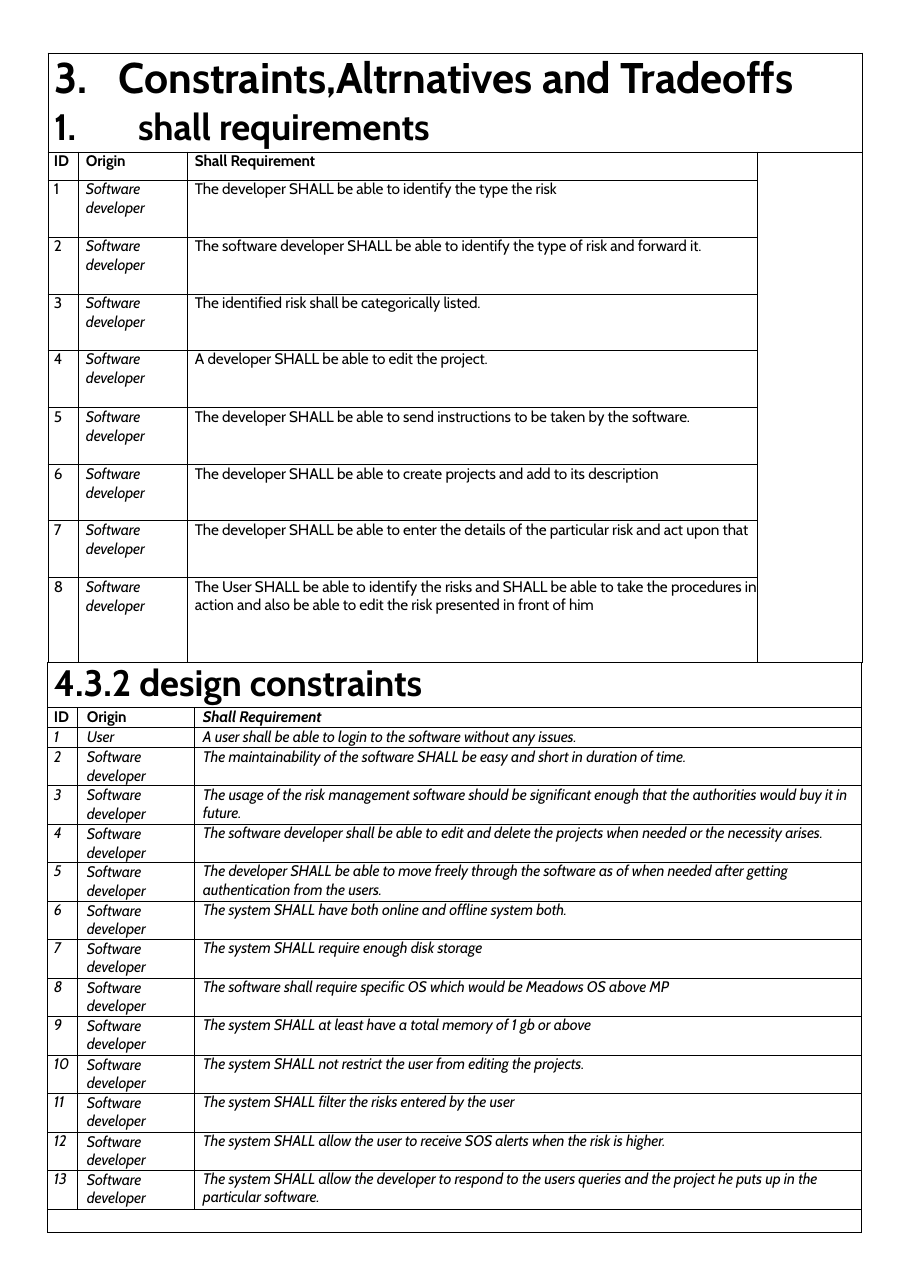
from lxml import etree
from pptx import Presentation
from pptx.dml.color import RGBColor
from pptx.oxml.ns import qn
from pptx.util import Pt

PX = 8298
FONT = "Cabin"
BLACK = RGBColor(0, 0, 0)
DEVELOPER = "Software developer"
COLUMN_WIDTHS = [30, 109, 8, 562, 105]
ROW_HEIGHTS = [99, 28, 57, 57, 56, 58, 57, 56, 57, 85, 45, 20, 20] + [38, 39] * 6 + [23]
TITLE_ROW, SHALL_ROW, DESIGN_TITLE_ROW, DESIGN_ROW = 0, 1, 10, 11
LAST_ROW = len(ROW_HEIGHTS) - 1
LAST_COLUMN = len(COLUMN_WIDTHS) - 1

SHALL_REQUIREMENTS = [
    "The developer SHALL be able to identify the type the risk",
    "The software developer SHALL be able to identify the type of risk and forward it.",
    "The identified risk shall be categorically listed.",
    "A developer SHALL be able to edit the project.",
    "The developer SHALL be able to send instructions to be taken by the software.",
    "The developer SHALL be able to create projects and add to its description",
    "The developer SHALL be able to enter the details of the particular risk and act upon that",
    "The User SHALL be able to identify the risks and SHALL be able to take the procedures "
    "in action and also be able to edit the risk presented in front of him",
]
DESIGN_CONSTRAINTS = [
    "A user shall be able to login to the software without any issues.",
    "The maintainability of the software SHALL be easy and short in duration of time.",
    "The usage of the risk management software should be significant enough that the "
    "authorities would buy it in future.",
    "The software developer shall be able to edit and delete the projects when needed or "
    "the necessity arises.",
    "The developer SHALL be able to move freely through the software as of when needed "
    "after getting authentication from the users.",
    "The system SHALL have both online and offline system both.",
    "The system SHALL require enough disk storage",
    "The software shall require specific OS which would be Meadows OS above MP",
    "The system SHALL at least have a total memory of 1 gb or above",
    "The system SHALL not restrict the user from editing the projects.",
    "The system SHALL filter the risks entered by the user",
    "The system SHALL allow the user to receive SOS alerts when the risk is higher.",
    "The system SHALL allow the developer to respond to the users queries and the project "
    "he puts up in the particular software.",
]


class RequirementsPage:
    """Holds the text style, the current slide and its requirements table."""

    def __init__(self, presentation):
        self.slide = presentation.slides.add_slide(presentation.slide_layouts[6])
        self.table = None

    def add_table(self, left, top):
        frame = self.slide.shapes.add_table(
            len(ROW_HEIGHTS), len(COLUMN_WIDTHS), left * PX, top * PX,
            sum(COLUMN_WIDTHS) * PX, sum(ROW_HEIGHTS) * PX)
        self.table = frame.table
        self.table.first_row = self.table.horz_banding = False
        for column, width in zip(self.table.columns, COLUMN_WIDTHS):
            column.width = width * PX
        for index, (row, height) in enumerate(zip(self.table.rows, ROW_HEIGHTS)):
            row.height = height * PX
            for cell in row.cells:
                self.format_cell(cell, Pt(0.5 if index < DESIGN_TITLE_ROW else 0.75))

    def format_cell(self, cell, border_width):
        cell.margin_left = cell.margin_right = cell.margin_top = cell.margin_bottom = 0
        properties = cell._tc.get_or_add_tcPr()
        for side in ("a:lnL", "a:lnR", "a:lnT", "a:lnB"):
            line = etree.SubElement(properties, qn(side), w=str(border_width))
            fill = etree.SubElement(line, qn("a:solidFill"))
            etree.SubElement(fill, qn("a:srgbClr"), val=str(BLACK))
        cell.fill.background()
        etree.SubElement(cell.text_frame.paragraphs[0]._p, qn("a:endParaRPr"), sz="1000")

    def merge(self, first_row, first_column, last_row, last_column):
        self.table.cell(first_row, first_column).merge(self.table.cell(last_row, last_column))

    def format_paragraph(self, paragraph, left, hanging=0, size=10, bold=False, italic=False):
        properties = paragraph._p.get_or_add_pPr()
        properties.set("marL", str(left * PX))
        properties.set("indent", str(-hanging * PX))
        for run in paragraph.runs:
            font = run.font
            font.name, font.size, font.bold, font.italic = FONT, Pt(size), bold, italic
            font.color.rgb = BLACK
            run._r.get_or_add_rPr().set("spc", "-5")

    def fill_cell(self, row, column, text, left, line_points=11.9, **style):
        paragraph = self.table.cell(row, column).text_frame.paragraphs[0]
        paragraph.text = text
        paragraph.line_spacing = Pt(line_points)
        self.format_paragraph(paragraph, left, **style)

    def number_heading(self, paragraph, level, start, left, hanging, size):
        paragraph.level = level
        properties = paragraph._p.get_or_add_pPr()
        etree.SubElement(properties, qn("a:buAutoNum"), type="arabicPeriod", startAt=str(start))
        tabs = etree.SubElement(properties, qn("a:tabLst"))
        etree.SubElement(tabs, qn("a:tab"), pos=str(left * PX), algn="l")
        self.format_paragraph(paragraph, left, hanging, size, bold=True)

    def add_titles(self):
        text_frame = self.table.cell(TITLE_ROW, 0).text_frame
        text_frame.text = "Constraints,Altrnatives and Tradeoffs\nshall requirements"
        title, subtitle = text_frame.paragraphs
        self.number_heading(title, 1, 3, 71, 65, 28)
        self.number_heading(subtitle, 2, 1, 90, 84, 24)
        title.line_spacing = Pt(33.5)
        subtitle.space_before = Pt(0.8)

    def add_requirements(self, top, requirement_column, origin_left, origins, requirements,
                         italic):
        records = [("ID", "Origin", "Shall Requirement")]
        records += [(str(number), origin, requirement) for number, (origin, requirement)
                    in enumerate(zip(origins, requirements), 1)]
        for row, (identifier, origin, requirement) in enumerate(records, top):
            header = row == top
            self.fill_cell(row, 0, identifier, 6, bold=header, italic=italic and not header)
            self.fill_cell(row, 1, origin, origin_left, 12.2, bold=header, italic=not header)
            self.fill_cell(row, requirement_column, requirement, 8, bold=header, italic=italic)


def main():
    presentation = Presentation()
    presentation.slide_width = 910 * PX
    presentation.slide_height = 1288 * PX
    page = RequirementsPage(presentation)
    page.add_table(48, 53)
    for row in (TITLE_ROW, DESIGN_TITLE_ROW, LAST_ROW):
        page.merge(row, 0, row, LAST_COLUMN)
    page.merge(SHALL_ROW, LAST_COLUMN, DESIGN_TITLE_ROW - 1, LAST_COLUMN)
    for row in range(SHALL_ROW, DESIGN_TITLE_ROW):
        page.merge(row, 2, row, 3)
    for row in range(DESIGN_ROW, LAST_ROW):
        page.merge(row, 1, row, 2)
        page.merge(row, 3, row, 4)
    page.add_titles()
    page.add_requirements(SHALL_ROW, 2, 8, [DEVELOPER] * len(SHALL_REQUIREMENTS),
                          SHALL_REQUIREMENTS, False)
    page.fill_cell(DESIGN_TITLE_ROW, 0, "4.3.2 design constraints", 6, 27.9, size=24, bold=True)
    page.add_requirements(DESIGN_ROW, 3, 9,
                          ["User"] + [DEVELOPER] * (len(DESIGN_CONSTRAINTS) - 1),
                          DESIGN_CONSTRAINTS, True)
    presentation.save("out.pptx")


if __name__ == "__main__":
    main()
